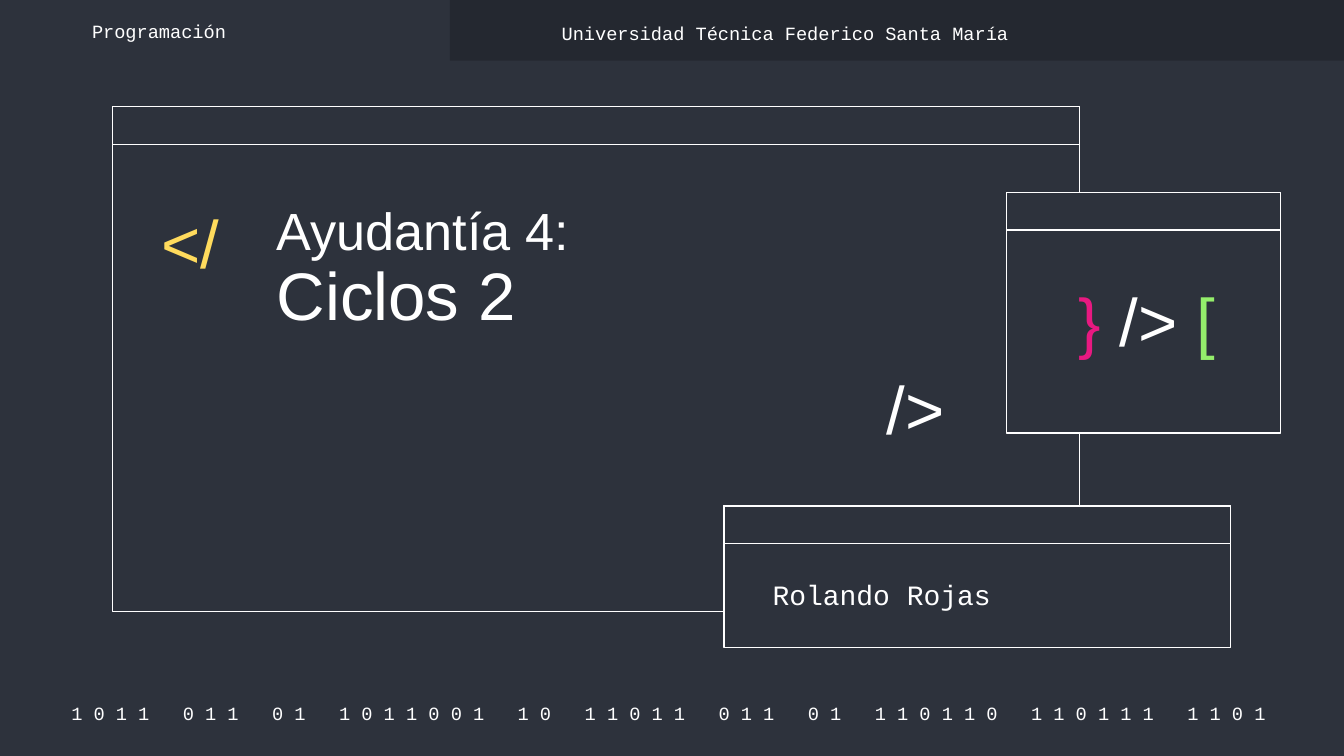
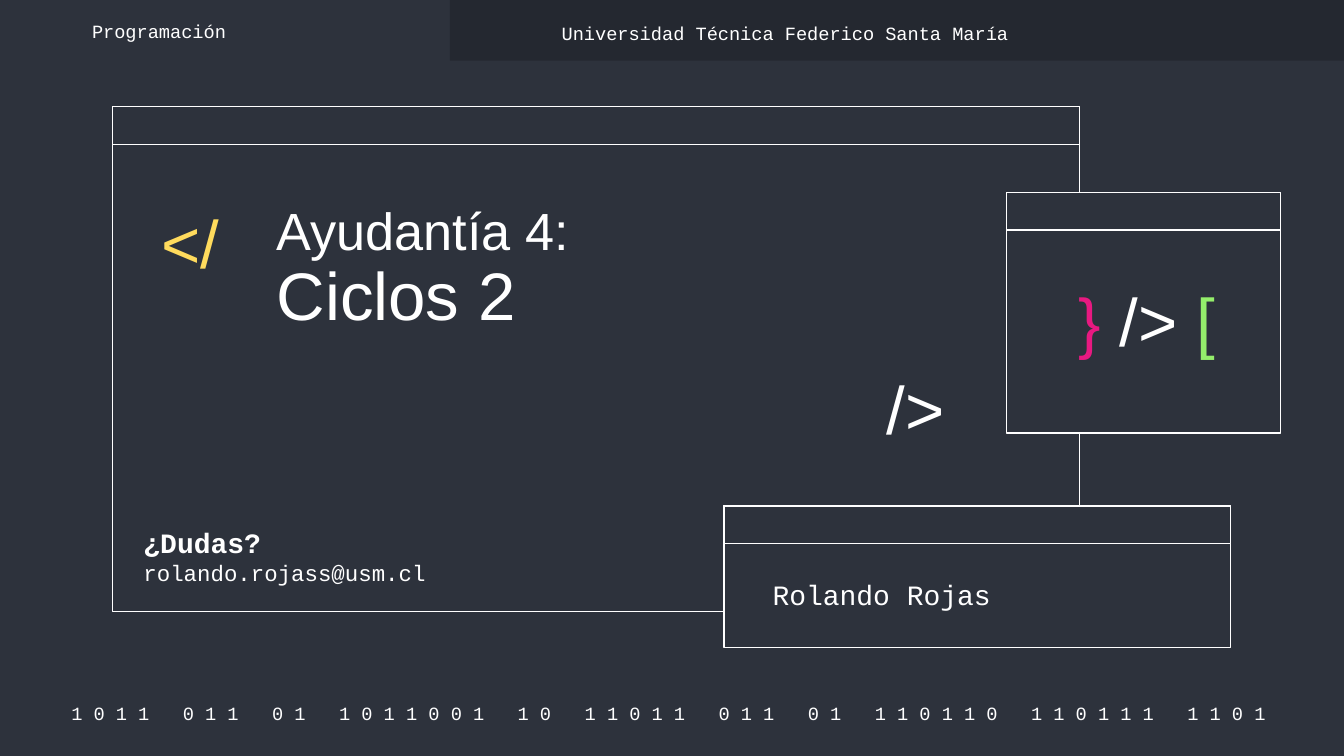
from typing import NamedTuple

from pptx import Presentation
from pptx.dml.color import RGBColor
from pptx.enum import shapes, text
from pptx.util import Pt

WHITE = "FFFFFF"
INK = "2D323C"
BAND = "242830"
YELLOW = "FFDB5D"
PINK = "E81981"
GREEN = "94EE6B"
SANS = "Arial"
MONO = "Courier New"
INSET = 7.2
BAR_HEIGHT = 20.2
BIT_GROUPS = "1011 011 01 1011001 10 11011 011 01 110110 110111 1101".split()
BITS = "  ".join("".join(f"{bit} " for bit in group) for group in BIT_GROUPS)


class Box(NamedTuple):
    left: float
    top: float
    width: float
    height: float


class Run(NamedTuple):
    text: str
    size: float
    color: str = WHITE
    bold: bool = False


class Label(NamedTuple):
    box: Box
    lines: list[list[Run]]
    font: str = MONO
    middle: bool = True
    centered: bool = False
    spacing: float = 1.0
    soft_breaks: bool = False


WINDOWS = [
    Box(60.4, 57.1, 517.9, 270.5),
    Box(387.8, 271, 271.4, 75.8),
    Box(539.2, 103, 146.8, 128.9),
]

FOOTER = Label(Box(27.2, 374.6, 667.5, 14.4), [[Run(BITS, 10)]], centered=True)

COVER_LABELS = [
    Label(Box(79.3, 108.7, 55.4, 47.5), [[Run("</", 36, YELLOW)]],
          font=SANS, spacing=0.9),
    Label(Box(468, 197.3, 55.4, 47.5), [[Run("/>", 36)]],
          font=SANS, spacing=0.9),
    Label(Box(566.6, 147.6, 95.8, 59),
          [[Run("}", 36, PINK), Run(" /> ", 36), Run("[", 36, GREEN)]],
          font=SANS, middle=False, centered=True, spacing=0.9),
    Label(Box(141.1, 103, 326.9, 131.8),
          [[Run("Ayudantía 4:", 28)], [Run("Ciclos 2", 36)]],
          font=SANS, middle=False, spacing=0.9, soft_breaks=True),
    Label(Box(406.8, 297.4, 239.8, 41.8), [[Run("Rolando Rojas", 15)]]),
    Label(Box(42.2, 9.4, 157.7, 14.4), [[Run("Programación", 10)]]),
    Label(Box(293.8, 9.4, 392.4, 16.6),
          [[Run("Universidad Técnica Federico Santa María", 10)]]),
]

CONTACT = Label(
    Box(69.8, 274.3, 259.2, 47.5),
    [[Run("¿Dudas?", 15, bold=True)], [Run("rolando.rojass@usm.cl", 12)]],
    middle=False)


def rgb(color: str) -> RGBColor:
    return RGBColor.from_string(color)


def add_rect(parent, box: Box, fill: str, line: str | None = None) -> None:
    sp = parent.add_shape(shapes.MSO_SHAPE.RECTANGLE, *map(Pt, box))
    sp.shadow.inherit = False
    sp.fill.solid()
    sp.fill.fore_color.rgb = rgb(fill)
    if line:
        sp.line.color.rgb = rgb(line)
        sp.line.width = Pt(0.75)
    else:
        sp.line.fill.background()


def add_window(s, box: Box) -> None:
    group = s.shapes.add_group_shape().shapes
    for part in (box, box._replace(height=BAR_HEIGHT)):
        add_rect(group, part, INK, WHITE)


def add_run(p, content: str, *, font: str, size: float, color: str,
            bold: bool) -> None:
    r = p.add_run()
    r.text = content
    r.font.name = font
    r.font.size = Pt(size)
    r.font.bold = bold
    r.font.color.rgb = rgb(color)


def add_label(s, label: Label) -> None:
    tf = s.shapes.add_textbox(*map(Pt, label.box)).text_frame
    tf.word_wrap = True
    tf.margin_left = tf.margin_right = Pt(INSET)
    tf.margin_top = tf.margin_bottom = Pt(INSET)
    anchor = text.MSO_ANCHOR
    tf.vertical_anchor = anchor.MIDDLE if label.middle else anchor.TOP
    p = tf.paragraphs[0]
    for i, line in enumerate(label.lines):
        if i and label.soft_breaks:
            p.add_line_break()
        elif i:
            p = tf.add_paragraph()
        p.alignment = text.PP_ALIGN.CENTER if label.centered else text.PP_ALIGN.LEFT
        p.line_spacing = label.spacing
        for run in line:
            add_run(p, run.text, font=label.font, size=run.size,
                    color=run.color, bold=run.bold)


def add_cover(prs, extra: tuple[Label, ...] = ()) -> None:
    s = prs.slides.add_slide(prs.slide_layouts[6])
    s.background.fill.solid()
    s.background.fill.fore_color.rgb = rgb(INK)
    add_label(s, FOOTER)
    add_rect(s.shapes, Box(241, 0, 479, 32.6), BAND)
    for window in WINDOWS:
        add_window(s, window)
    for label in (*COVER_LABELS, *extra):
        add_label(s, label)


def main() -> None:
    prs = Presentation()
    prs.slide_width, prs.slide_height = Pt(720), Pt(405)
    add_cover(prs)
    add_cover(prs, (CONTACT,))
    prs.save("out.pptx")


if __name__ == "__main__":
    main()
